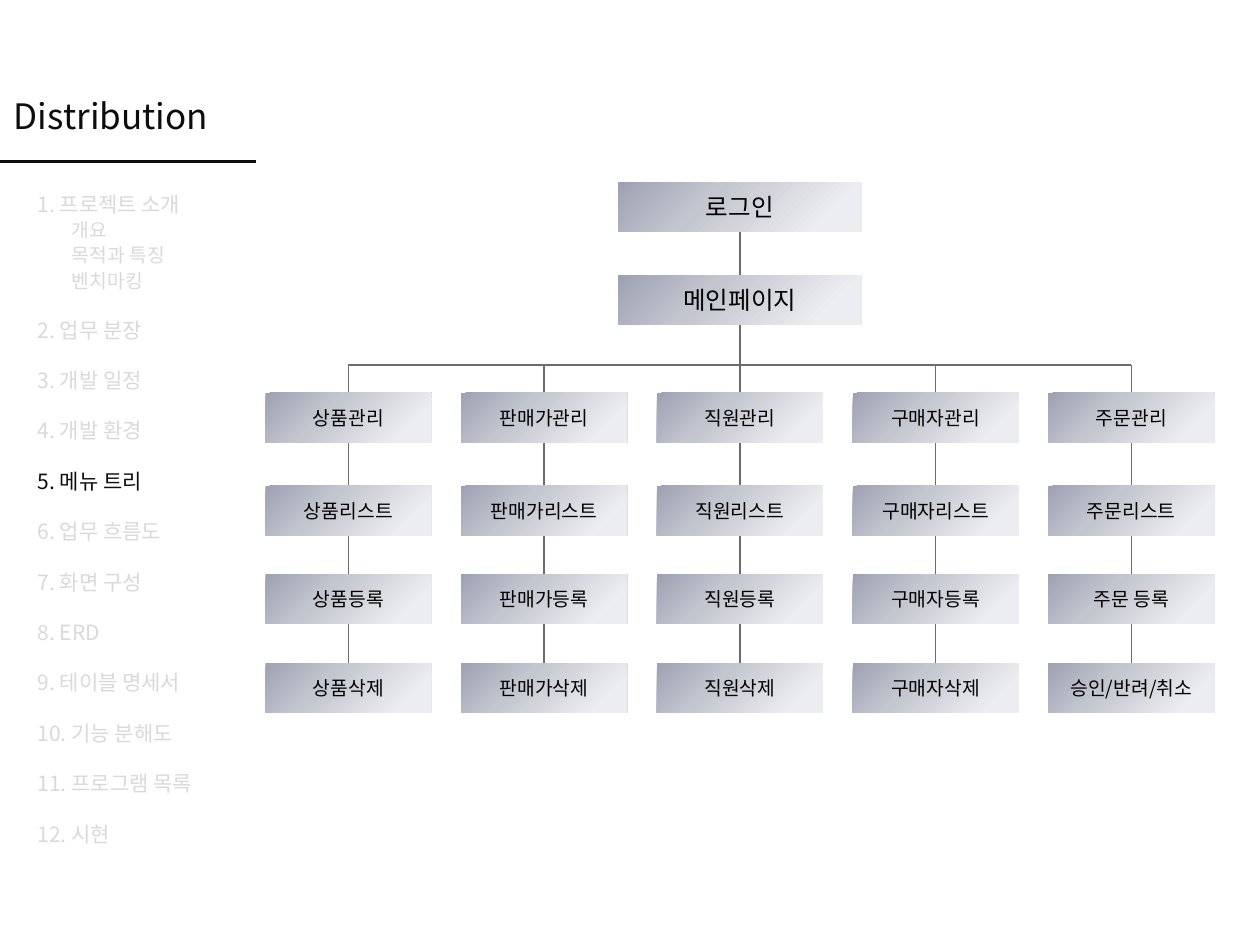
from copy import deepcopy

from pptx import Presentation
from pptx.dml.color import RGBColor
from pptx.enum.shapes import MSO_CONNECTOR, MSO_SHAPE
from pptx.enum.text import MSO_ANCHOR, MSO_AUTO_SIZE, PP_ALIGN
from pptx.oxml.ns import qn
from pptx.oxml.xmlchemy import OxmlElement
from pptx.util import Pt

FONT = "Noto Sans CJK KR"
INK = RGBColor(0x0D, 0x0D, 0x0D)
MUTED = RGBColor(0xD9, 0xD9, 0xD9)
BLACK = RGBColor(0, 0, 0)
BRANCH = RGBColor(0x6C, 0x6C, 0x6C)
NODE_STOPS = [
    (0, RGBColor(0x9D, 0xA1, 0xB3)),
    (0.37, RGBColor(0xC4, 0xC6, 0xCF)),
    (0.84, RGBColor(0xEC, 0xED, 0xF0)),
]
STRAIGHT = MSO_CONNECTOR.STRAIGHT
RECTANGLE = MSO_SHAPE.RECTANGLE
LEFT, CENTER = PP_ALIGN.LEFT, PP_ALIGN.CENTER
TOP, MIDDLE = MSO_ANCHOR.TOP, MSO_ANCHOR.MIDDLE
NO_AUTOFIT = MSO_AUTO_SIZE.NONE

SECTIONS = [
    "1. 프로젝트 소개", "2. 업무 분장", "3. 개발 일정", "4. 개발 환경",
    "5. 메뉴 트리", "6. 업무 흐름도", "7. 화면 구성", "8. ERD",
    "9. 테이블 명세서", "10. 기능 분해도", "11. 프로그램 목록", "12. 시현",
]
INTRO_TOPICS = ["개요", "목적과 특징", "벤치마킹"]
CURRENT = "5. 메뉴 트리"

ROOTS = ["로그인", "메인페이지"]
BRANCHES = [
    ["상품관리", "상품리스트", "상품등록", "상품삭제"],
    ["판매가관리", "판매가리스트", "판매가등록", "판매가삭제"],
    ["직원관리", "직원리스트", "직원등록", "직원삭제"],
    ["구매자관리", "구매자리스트", "구매자등록", "구매자삭제"],
    ["주문관리", "주문리스트", "주문 등록", "승인/반려/취소"],
]
NODE_HEIGHT = 28.3
ROOT_WIDTH, BRANCH_WIDTH = 139, 95
# Offsets from the top of the tree
ROOT_TOPS = [0, 53.2]
BUS_TOP = 104.2
BRANCH_TOPS = [120.4, 173.5, 224, 274.8]


def set_font(p, size, color):
    p.font.name, p.font.size, p.font.color.rgb = FONT, Pt(size), color


def add_line(slide, x1, y1, x2, y2, color, width):
    line = slide.shapes.add_connector(STRAIGHT, Pt(x1), Pt(y1), Pt(x2), Pt(y2))
    line.line.color.rgb = color
    line.line.width = Pt(width)
    line._element.spPr.append(OxmlElement("a:effectLst"))


def add_heading(slide, left, top, width, height):
    """Title with a rule running in from the slide's left edge."""
    title = slide.shapes.title
    title.left, title.top = Pt(left), Pt(top)
    title.width, title.height = Pt(width), Pt(height)
    tf = title.text_frame
    tf.text = "Distribution"
    tf.auto_size, tf.word_wrap = NO_AUTOFIT, False
    tf.vertical_anchor = TOP
    p = tf.paragraphs[0]
    p.alignment = LEFT
    set_font(p, 20, INK)
    add_line(slide, 0, 92.2, 146.2, 92.2, INK, 1.5)


def add_contents(slide, left, top, width, height):
    tf = slide.shapes.add_textbox(Pt(left), Pt(top), Pt(width), Pt(height)).text_frame
    tf.word_wrap = True
    first, *others = SECTIONS
    entries = [(first, 12, 1, 0)]
    entries += [(topic, 11, 1.09, 19.6) for topic in INTRO_TOPICS]
    entries += [(section, 12, 2.0, 0) for section in others]
    for i, (text, size, spacing, indent) in enumerate(entries):
        p = tf.add_paragraph() if i else tf.paragraphs[0]
        p.text = text
        p.line_spacing = float(spacing)
        set_font(p, size, INK if text == CURRENT else MUTED)
        if indent:
            pPr = p._p.get_or_add_pPr()
            pPr.set("marL", str(Pt(indent)))
            pPr.set("indent", "0")


def add_node(slide, center, top, width, text, size):
    sp = slide.shapes.add_shape(
        RECTANGLE, Pt(center - width / 2), Pt(top), Pt(width), Pt(NODE_HEIGHT))
    sp.shadow.inherit = False
    sp.line.fill.background()
    sp.fill.gradient()
    sp.fill.gradient_angle = 315
    stops = sp._element.spPr.find(qn("a:gradFill")).find(qn("a:gsLst"))
    stops.append(deepcopy(stops[-1]))
    for stop, (position, color) in zip(sp.fill.gradient_stops, NODE_STOPS):
        stop.position, stop.color.rgb = position, color
    tf = sp.text_frame
    tf.margin_left = tf.margin_right = 0
    tf.word_wrap, tf.vertical_anchor = True, MIDDLE
    p = tf.paragraphs[0]
    p.text = text
    p.alignment = CENTER
    set_font(p, size, BLACK)


def add_menu_tree(slide, left, top, width):
    step = (width - BRANCH_WIDTH) / (len(BRANCHES) - 1)
    centers = [left + BRANCH_WIDTH / 2 + i * step for i in range(len(BRANCHES))]
    middle = left + width / 2
    bus, bottom = top + BUS_TOP, top + BRANCH_TOPS[-1]

    add_line(slide, middle, top + NODE_HEIGHT, middle, bus, BRANCH, 1)
    add_line(slide, centers[0], bus, centers[-1], bus, BRANCH, 1)
    for x in centers:
        add_line(slide, x, bus, x, bottom, BRANCH, 1)

    for text, y in zip(ROOTS, ROOT_TOPS):
        add_node(slide, middle, top + y, ROOT_WIDTH, text, 14)
    for x, branch in zip(centers, BRANCHES):
        for text, y in zip(branch, BRANCH_TOPS):
            add_node(slide, x, top + y, BRANCH_WIDTH, text, 11)


def main():
    prs = Presentation()
    prs.slide_width, prs.slide_height = Pt(720), Pt(540)
    slide = prs.slides.add_slide(prs.slide_layouts[5])
    add_heading(slide, 0.7, 50.4, 138.2, 31.7)
    add_contents(slide, 14.4, 105.8, 104.4, 385.2)
    add_menu_tree(slide, 151.6, 104.2, 542.4)
    prs.save("out.pptx")


if __name__ == "__main__":
    main()
